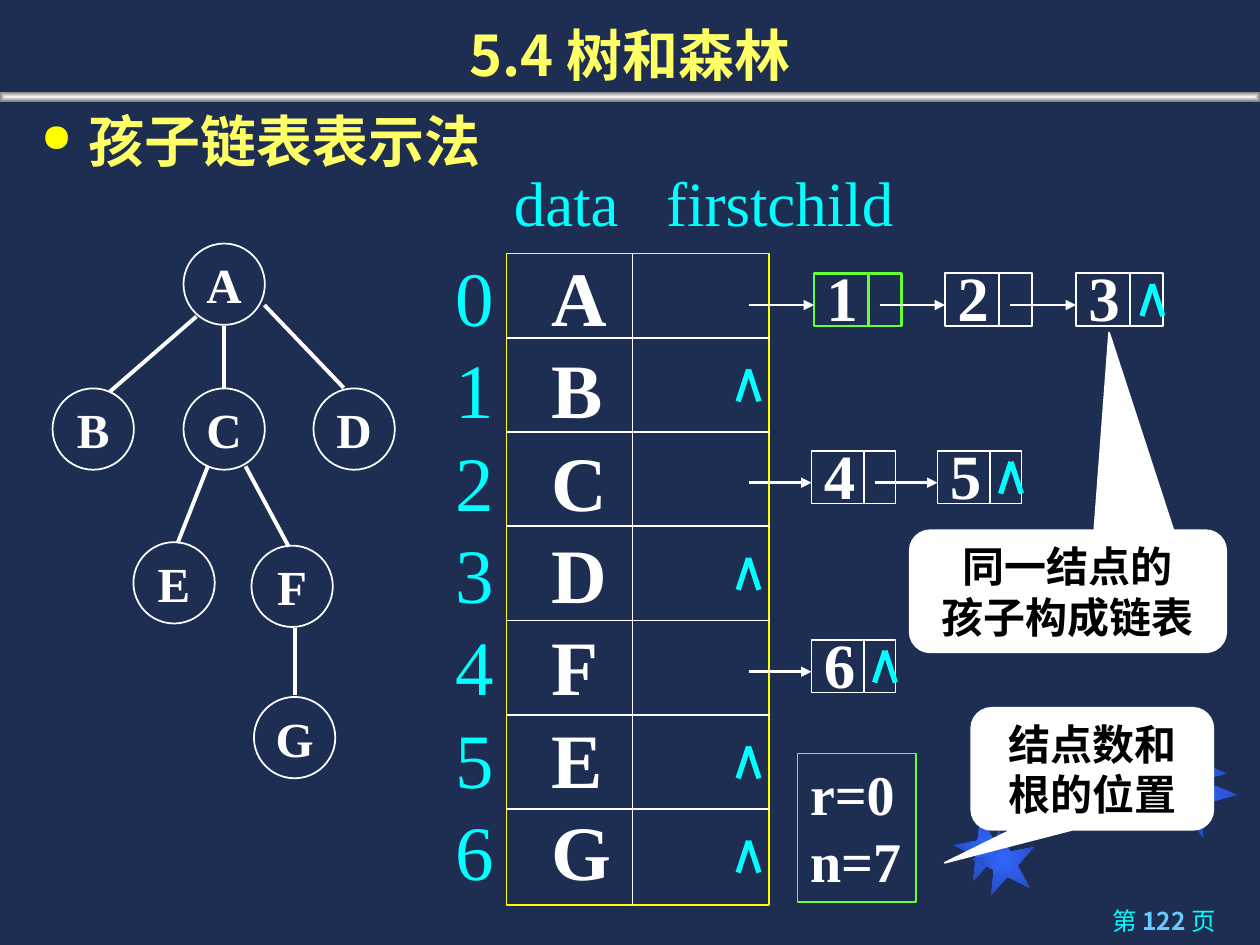
from dataclasses import dataclass

import pptx
import pptx.dml.color
import pptx.enum.shapes
import pptx.enum.text
import pptx.oxml.ns
import pptx.util
from lxml import etree

Cm, Pt = pptx.util.Cm, pptx.util.Pt
Shape = pptx.enum.shapes.MSO_SHAPE
Align = pptx.enum.text.PP_ALIGN
Anchor = pptx.enum.text.MSO_ANCHOR
qn = pptx.oxml.ns.qn

WHITE, CYAN, YELLOW, GREEN = "FFFFFF", "00FFFF", "FFFF66", "66FF33"
SERIF, SANS, CJK = "Times New Roman", "Arial", "Noto Sans CJK SC"


@dataclass
class TreeNode:
    label: str
    x: float  # centre
    y: float


@dataclass
class Chain:
    labels: str
    left: float
    top: float
    pitch: float
    first_color: str = WHITE


@dataclass
class Callout:
    lines: list
    place: tuple
    tip: tuple


@dataclass
class Star:
    left: float
    top: float
    size: float
    turn: float


def rgb(color: str):
    return pptx.dml.color.RGBColor.from_string(color)


def add_child(parent, tag: str, **attributes):
    return etree.SubElement(parent, qn(tag), attributes)


def write(box, lines, size=36, font=SERIF, color=WHITE, bold=False, align=Align.LEFT,
          anchor=Anchor.TOP, wrap=True, leading=1.2, tab=None, bullet=None):
    """Fill a box; a line is a string or a list of (text, color, bold) spans."""
    frame = box.text_frame
    frame.word_wrap, frame.vertical_anchor = wrap, anchor
    for index, line in enumerate(lines):
        para = frame.paragraphs[0] if index == 0 else frame.add_paragraph()
        properties = para._p.get_or_add_pPr()
        if bullet:
            properties.set("marL", str(Cm(0.95)))
            properties.set("indent", str(Cm(-0.95)))
            add_child(add_child(properties, "a:buClr"), "a:srgbClr", val="FFFF00")
            add_child(properties, "a:buSzPct", val="70000")
            add_child(properties, "a:buChar", char=bullet)
        if tab:
            add_child(add_child(properties, "a:tabLst"), "a:tab", pos=str(Cm(tab)), algn="l")
        para.alignment, para.space_before = align, Pt(0)
        if leading:
            para.line_spacing = Pt(size * leading)
        for text, ink, heavy in [(line, color, bold)] if isinstance(line, str) else line:
            span = para.add_run()
            span.text = text
            span.font.size, span.font.name, span.font.bold = Pt(size), font, heavy
            span.font.color.rgb = rgb(ink)
            add_child(span._r.get_or_add_rPr(), "a:ea", typeface=CJK)


def add_text(page, place: tuple, lines, **style):
    box = page.shapes.add_textbox(*map(Cm, place))
    write(box, lines, **style)
    return box


def add_shape(page, kind, place: tuple, fill=None, line=None, width=1.0):
    shape = page.shapes.add_shape(kind, *map(Cm, place))
    shape.shadow.inherit = False
    if fill:
        shape.fill.solid()
        shape.fill.fore_color.rgb = rgb(fill)
    else:
        shape.fill.background()
    if line:
        shape.line.color.rgb, shape.line.width = rgb(line), Pt(width)
    else:
        shape.line.fill.background()
    return shape


def glow(shape, inner: str, outer: str) -> None:
    """Shade a shape from its centre to its edges."""
    shape.fill.gradient()
    for stop, color in zip(shape.fill.gradient_stops, (inner, outer)):
        stop.color.rgb = rgb(color)
    gradient = shape._element.spPr.find(qn("a:gradFill"))
    gradient.remove(gradient.find(qn("a:lin")))
    centre = add_child(gradient, "a:path", path="shape")
    add_child(centre, "a:fillToRect", **dict.fromkeys("ltrb", "50000"))


def add_line(page, start: tuple, end: tuple, color=WHITE, width=1.0, arrow=False) -> None:
    line = page.shapes.add_connector(
        pptx.enum.shapes.MSO_CONNECTOR.STRAIGHT, *map(Cm, start + end))
    line.line.color.rgb, line.line.width = rgb(color), Pt(width)
    if arrow:
        add_child(line.line._get_or_add_ln(), "a:tailEnd", type="triangle")
    add_child(line._element.spPr, "a:effectLst")


def add_null_mark(page, x: float, y: float) -> None:
    for side in (-0.21, 0.21):
        add_line(page, (x, y), (x + side, y + 0.64), CYAN, 3)


def add_chain(page, chain: Chain) -> None:
    pitch, top, height = chain.pitch, chain.top, 1.06
    for index, label in enumerate(chain.labels):
        left = chain.left + index * pitch
        color = chain.first_color if index == 0 else WHITE
        width = 1.5 if color == GREEN else 1
        divider = left + 0.415 * pitch
        add_text(page, (left, top - 0.42, 1.15, 1.78), [label], bold=True)
        add_shape(page, Shape.RECTANGLE, (left, top, 0.667 * pitch, height), None, color, width)
        add_line(page, (divider, top), (divider, top + height), color, width)
        add_line(page, (left - pitch / 2, top + 0.64), (left, top + 0.64), width=1.5, arrow=True)
    add_null_mark(page, left + 0.583 * pitch, top + 0.22)


def add_tree(page) -> None:
    nodes = [TreeNode("A", 4.52, 5.73), TreeNode("B", 1.88, 8.65), TreeNode("C", 4.52, 8.65),
             TreeNode("D", 7.14, 8.65), TreeNode("E", 3.51, 11.75), TreeNode("F", 5.89, 11.82),
             TreeNode("G", 5.94, 14.87)]
    edges = [((4.52, 6.58), (4.52, 7.82)), ((5.33, 6.15), (6.93, 7.82)),
             ((3.96, 6.38), (2.21, 7.9)), ((4.19, 9.4), (3.58, 10.95)),
             ((4.95, 9.4), (5.82, 11.02)), ((5.94, 12.65), (5.94, 14.02))]
    for node in nodes:
        circle = add_shape(page, Shape.OVAL, (node.x - 0.82, node.y - 0.82, 1.64, 1.64), None, WHITE)
        write(circle, [node.label], size=28, bold=True, align=Align.CENTER,
              anchor=Anchor.MIDDLE, wrap=False)
    for start, end in edges:
        add_line(page, start, end, width=2.25)


def add_node_table(page) -> None:
    left, right, top, bottom = 10.21, 15.51, 5.11, 18.24
    first_rule, row_height = 6.81, 1.9
    add_text(page, (10.11, 3.18, 9.1, 1.78), ["data\tfirstchild"], color=CYAN, tab=3.07)
    rows = [[(f"{index}\t", CYAN, False), (letter, WHITE, True)]
            for index, letter in enumerate("ABCDFEG")]
    add_text(page, (8.94, 4.9, 3.66, 13.28), rows, size=44, tab=1.93)
    add_shape(page, Shape.RECTANGLE, (left, top, right - left, bottom - top), None, "FFFF00")
    for row in range(1, 7):
        y = first_rule + (row - 1) * row_height
        add_line(page, (left, y), (right, y))
        if row in (1, 3, 5, 6):
            add_null_mark(page, 15.09, y + 0.64)
    add_line(page, (12.75, top), (12.75, bottom))


def add_callout(page, callout: Callout) -> None:
    shape = add_shape(page, Shape.ROUNDED_RECTANGULAR_CALLOUT, callout.place, WHITE, WHITE)
    shape.adjustments[0], shape.adjustments[1] = callout.tip
    write(shape, callout.lines, size=24, font=SANS, color="000000", bold=True,
          align=Align.CENTER, anchor=Anchor.MIDDLE)


def main() -> None:
    deck = pptx.Presentation()
    deck.slide_width, deck.slide_height = Cm(25.4), Cm(19.05)
    page = deck.slides.add_slide(deck.slide_layouts[5])
    page.background.fill.solid()
    page.background.fill.fore_color.rgb = rgb("1E2E53")

    # Background stars and the bar under the title
    for star in (Star(19.25, 16.43, 1.27, 349), Star(23.01, 14.61, 1.7, 22),
                 Star(19.61, 16.71, 1.27, 349), Star(23.22, 15.04, 1.7, 22)):
        shape = add_shape(page, Shape.STAR_5_POINT, (star.left, star.top, star.size, star.size))
        shape.rotation = star.turn
        glow(shape, "3366FF", "2449B6")
    glow(add_shape(page, Shape.RECTANGLE, (0, 1.85, 25.4, 0.2)), "F2F2F2", "808080")

    # Title, heading and page number
    title = page.shapes.title
    title.left, title.top, title.width, title.height = map(Cm, (0, 0, 25.4, 1.9))
    write(title, ["5.4 树和森林"], size=32, font=CJK, color=YELLOW, bold=True,
          align=Align.CENTER, anchor=Anchor.BOTTOM, leading=None)
    add_text(page, (0.58, 2.03, 24.26, 2.26), ["孩子链表表示法"], size=32, font=SANS,
             color=YELLOW, bold=True, bullet="●")
    number = [("第 ", CYAN, False), ("122 ", "66CCFF", True), ("页", CYAN, False)]
    add_text(page, (18.08, 18.14, 6.68, 0.91), [number], size=14, font=CJK, align=Align.RIGHT)

    # Tree, node table and child chains
    add_tree(page)
    add_node_table(page)
    for chain in (Chain("123", 16.41, 5.51, 2.64, GREEN), Chain("45", 16.36, 9.09, 2.54),
                  Chain("6", 16.36, 12.9, 2.54)):
        add_chain(page, chain)

    # Root position and node count
    summary = add_shape(page, Shape.RECTANGLE, (16.08, 15.19, 2.39, 3), None, GREEN)
    summary.text_frame.margin_right = 0
    write(summary, ["r=0", "n=7"], size=32, bold=True)

    # Explanations
    for callout in (
            Callout(["同一结点的", "孩子构成链表"], (18.34, 10.69, 6.38, 2.46), (0.13, -2.12)),
            Callout(["结点数和", "根的位置"], (19.58, 14.27, 4.88, 2.46), (-0.61, 0.77))):
        add_callout(page, callout)

    deck.save("out.pptx")


if __name__ == "__main__":
    main()
